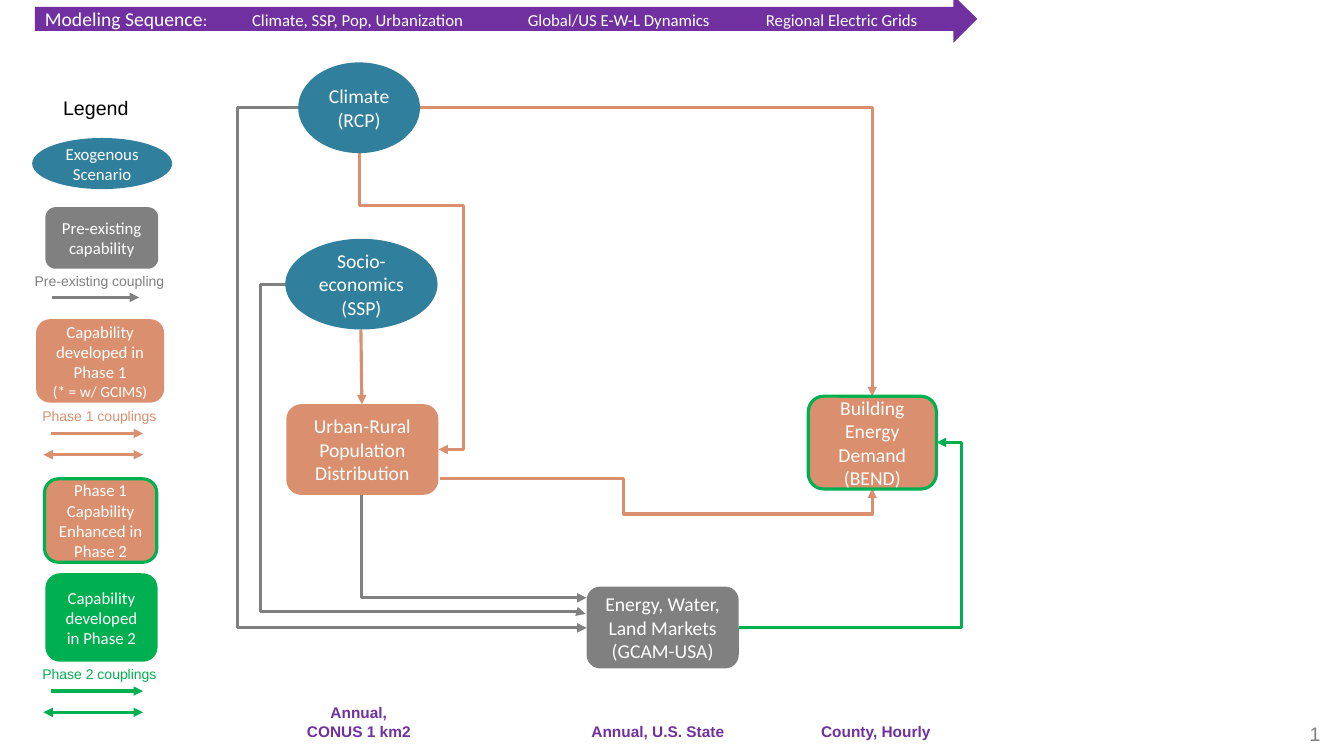
"""Builds the modeling sequence slide: a coupled-model flow chart with its legend."""
from lxml.etree import SubElement
from pptx import Presentation
from pptx.dml.color import RGBColor
from pptx.enum.shapes import MSO_CONNECTOR, MSO_SHAPE
from pptx.enum.text import MSO_ANCHOR, PP_ALIGN
from pptx.oxml.ns import qn
from pptx.util import Pt

TEAL, GRAY, ORANGE, GREEN = "307F9C", "808080", "DA8F6E", "00B050"
PURPLE, WHITE, BLACK = "7030A0", "FFFFFF", "000000"
OVAL, BOX = MSO_SHAPE.OVAL, MSO_SHAPE.ROUNDED_RECTANGLE


def rgb(value):
    return RGBColor.from_string(value)


class Diagram:
    def __init__(self, slide, width=2.25):
        self.s, self.width = slide, Pt(width)

    def fill_text(self, tf, lines, size, font, color, bold=False, align=PP_ALIGN.CENTER):
        for i, line in enumerate(lines):
            p = tf.add_paragraph() if i else tf.paragraphs[0]
            p.text, p.alignment = line, align
            p.font.size, p.font.name, p.font.bold = Pt(size), font, bold
            p.font.color.rgb = rgb(color)
        return tf.paragraphs

    def node(self, kind, x, y, w, h, fill, lines, size=14, edge=None):
        sp = self.s.shapes.add_shape(kind, Pt(x), Pt(y), Pt(w), Pt(h))
        sp.shadow.inherit = False
        sp.fill.solid()
        sp.fill.fore_color.rgb = rgb(fill)
        if edge:
            sp.line.color.rgb, sp.line.width = rgb(edge), self.width
        else:
            sp.line.fill.background()
        sp.text_frame.vertical_anchor = MSO_ANCHOR.MIDDLE
        return self.fill_text(sp.text_frame, lines, size, "Calibri", WHITE)

    def label(self, x, y, w, h, lines, size, color, bold=False, align=PP_ALIGN.CENTER):
        tf = self.s.shapes.add_textbox(Pt(x), Pt(y), Pt(w), Pt(h)).text_frame
        tf.word_wrap = False
        return self.fill_text(tf, lines, size, "Arial", color, bold, align)

    def arrow(self, start, end, color, both=False, kind=MSO_CONNECTOR.STRAIGHT):
        cn = self.s.shapes.add_connector(kind, *map(Pt, start + end))
        cn.line.color.rgb, cn.line.width = rgb(color), self.width
        props = cn._element.spPr
        for tag in ("a:headEnd", "a:tailEnd") if both else ("a:tailEnd",):
            SubElement(props.find(qn("a:ln")), qn(tag), type="triangle")
        SubElement(props, qn("a:effectLst"))
        return cn

    def elbow(self, start, end, color, *bends, down=False):
        cn = self.arrow(start, end, color, kind=MSO_CONNECTOR.ELBOW)
        geom = cn._element.spPr.find(qn("a:prstGeom"))
        geom.set("prst", f"bentConnector{len(bends) + 2}")
        guides = geom.get_or_add_avLst()
        for i, bend in enumerate(bends):
            axis = (i + down) % 2
            ratio = (bend - start[axis]) / (end[axis] - start[axis])
            SubElement(guides, qn("a:gd"), name=f"adj{i + 1}",
                       fmla=f"val {round(ratio * 100000)}")
        if down:
            dx, dy = end[0] - start[0], end[1] - start[1]
            cn.left, cn.top = Pt(start[0] + (dx - dy) / 2), Pt(start[1] + (dy - dx) / 2)
            cn.width, cn.height = Pt(dy), Pt(dx)
            xfrm = cn._element.spPr.find(qn("a:xfrm"))
            xfrm.set("rot", "16200000")
            xfrm.set("flipH", "1")

    def banner(self, x, y, w, h, title, stages):
        p = self.node(MSO_SHAPE.RIGHT_ARROW, x, y, w, h, PURPLE, [title], 14)[0]
        p.alignment = PP_ALIGN.LEFT
        r = p.add_run()
        r.text = ":" + "".join(f"\t{name}" for name, _ in stages)
        r.font.size = Pt(12)
        props = p._p.get_or_add_pPr()
        tabs = props.makeelement(qn("a:tabLst"), {})
        props.insert(0, tabs)
        for _, pos in stages:
            SubElement(tabs, qn("a:tab"), pos=str(int(Pt(pos))), algn="l")


prs = Presentation()
prs.slide_width, prs.slide_height = Pt(960), Pt(540)
d = Diagram(prs.slides.add_slide(prs.slide_layouts[6]))

d.banner(25, -3.5, 673, 34, "Modeling Sequence",
         [("Climate, SSP, Pop, Urbanization", 148),
          ("Global/US E-W-L Dynamics", 345), ("Regional Electric Grids", 515)])

d.arrow((257.8, 235.5), (258.5, 288.8), ORANGE)
d.elbow((257, 109.5), (313.2, 321), ORANGE, 147, 331.2, down=True)
d.elbow((213, 77), (419, 448.5), GRAY, 169.5)
d.elbow((204, 203), (418.3, 438.5), GRAY, 186, 437)
d.elbow((258.5, 353.5), (419, 427), GRAY, down=True)
d.elbow((300, 77), (623, 283), ORANGE)
d.elbow((314, 342), (623, 349.2), ORANGE, 445.5, 367.2)
d.elbow((527.8, 448.5), (669, 316), GREEN, 687)

d.node(OVAL, 213, 44.6, 87, 64.8, TEAL, ["Climate", "(RCP)"])
d.node(OVAL, 203.8, 170.6, 108.7, 64.8, TEAL, ["Socio-economics", "(SSP)"])
d.node(BOX, 204.5, 288.7, 108.7, 64.8, ORANGE, ["Urban-Rural Population Distribution"])
d.node(BOX, 419, 419, 108.7, 58.5, GRAY, ["Energy, Water, Land Markets", "(GCAM-USA)"])
d.node(BOX, 577.4, 283, 91.5, 66.3, ORANGE, ["Building Energy Demand", "(BEND)"], edge=GREEN)

d.label(38, 65, 61, 24.5, ["Legend"], 14, BLACK)
d.node(OVAL, 23, 98.6, 100, 36.5, TEAL, ["Exogenous Scenario"], 12)
d.node(BOX, 32.4, 148, 80.6, 44, GRAY, ["Pre-existing capability"], 12)
phase1 = d.node(BOX, 25.8, 228, 91.5, 59.6, ORANGE,
                ["Capability developed in Phase 1", "(* = w/ GCIMS)"], 12)
phase1[1].font.size = Pt(11)
d.node(BOX, 31.8, 342, 80.2, 59.6, ORANGE, ["Phase 1 Capability Enhanced in Phase 2"], 12, GREEN)
d.node(BOX, 32.4, 409.5, 80.2, 63.2, GREEN, ["Capability developed in Phase 2"], 12)

d.label(16, 190.8, 110, 19.4, ["Pre-existing coupling"], 10, GRAY)
d.arrow((37.5, 212.4), (99.4, 212.4), GRAY)
for phase, y, color in ((1, 287.6, ORANGE), (2, 471.6, GREEN)):
    d.label(21.3, y, 99.4, 19.4, [f"Phase {phase} couplings"], 10, color)
    d.arrow((36.7, y + 22), (102.2, y + 22), color)
    d.arrow((31, y + 37.2), (102.2, y + 37.2), color, both=True)

for x, y, w, h, lines in ((211.7, 499, 89.3, 34, ["Annual,", "CONUS 1 km2"]),
                          (412, 512.6, 116, 20.6, ["Annual, U.S. State"]),
                          (577, 512.6, 97.2, 20.6, ["County, Hourly"])):
    d.label(x, y, w, h, lines, 11, PURPLE, bold=True)
d.label(860.4, 512, 90, 28.8, ["1"], 14, GRAY, align=PP_ALIGN.RIGHT)

prs.save("out.pptx")
